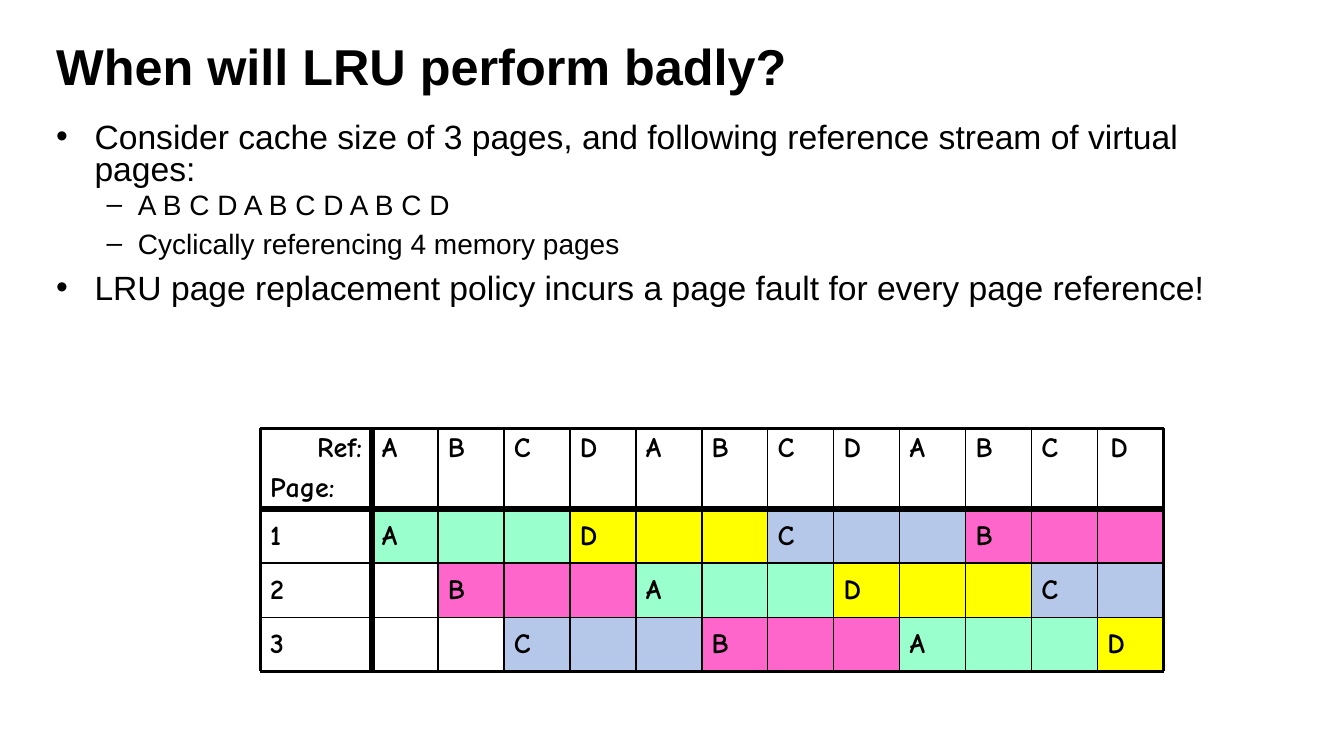
from lxml import etree
from pptx import Presentation
from pptx.dml.color import RGBColor
from pptx.enum.shapes import MSO_CONNECTOR as Connector, MSO_SHAPE as Shape
from pptx.enum.text import MSO_ANCHOR as Anchor, PP_ALIGN as Align
from pptx.oxml.ns import qn
from pptx.util import Inches, Pt

COLORS = {"ink": "000000", "A": "99FFCC", "B": "FF66CC", "C": "B6C8E9", "D": "FFFF00"}
REFERENCES = "ABCD" * 3
FRAMES = 3
THIN, OUTER, THICK = 1, 2.25, 4.5
LEFT, FIRST_COLUMN, RIGHT = 2.58, 3.69, 11.54
TOP, FIRST_ROW, BOTTOM = 4.25, 5.05, 6.66
CELL_WIDTH = (RIGHT - FIRST_COLUMN) / len(REFERENCES)
CELL_HEIGHT = (BOTTOM - FIRST_ROW) / FRAMES


def write(paragraph, text, size=20, font="Comic Neue", bold=True, color="ink",
          align=Align.LEFT, spacing=0.9, before=0, level=0, indent=None, bullet=None):
    """Put formatted text into a paragraph."""
    paragraph.level = level
    if bullet:
        properties = paragraph._p.get_or_add_pPr()
        left, hanging = indent
        properties.set("marL", str(Inches(left)))
        properties.set("indent", str(Inches(hanging)))
        etree.SubElement(properties, qn("a:buFont"), typeface=font)
        etree.SubElement(properties, qn("a:buChar"), char=bullet)
    paragraph.alignment = align
    paragraph.line_spacing = spacing
    paragraph.space_before = Pt(before)
    run = paragraph.add_run()
    run.text = text
    run.font.name = font
    run.font.size = Pt(size)
    run.font.bold = bold
    run.font.color.rgb = RGBColor.from_string(COLORS[color])


class SlideBuilder:
    """Hold the colours and the current slide."""

    def __init__(self, presentation, colors):
        self.colors = colors
        self.slide = presentation.slides.add_slide(presentation.slide_layouts[6])

    def fill_frame(self, frame, entries, anchor):
        """Write one paragraph per entry into a wrapped text frame."""
        frame.word_wrap = True
        frame.vertical_anchor = anchor
        for index, (text, style) in enumerate(entries):
            paragraph = frame.add_paragraph() if index else frame.paragraphs[0]
            write(paragraph, text, **style)

    def text(self, left, top, width, height, entries, anchor=Anchor.TOP):
        """Add a text box."""
        box = self.slide.shapes.add_textbox(*map(Inches, (left, top, width, height)))
        self.fill_frame(box.text_frame, entries, anchor)

    def rectangle(self, left, top, width, height, fill, entries=()):
        """Add a filled rectangle without an outline."""
        shape = self.slide.shapes.add_shape(
            Shape.RECTANGLE, *map(Inches, (left, top, width, height)))
        shape.shadow.inherit = False
        shape.fill.solid()
        shape.fill.fore_color.rgb = RGBColor.from_string(self.colors[fill])
        shape.line.fill.background()
        if entries:
            self.fill_frame(shape.text_frame, entries, Anchor.MIDDLE)

    def line(self, start_x, start_y, end_x, end_y, width):
        """Add a straight line."""
        line = self.slide.shapes.add_connector(
            Connector.STRAIGHT, *map(Inches, (start_x, start_y, end_x, end_y)))
        line.line.color.rgb = RGBColor.from_string(self.colors["ink"])
        line.line.width = Pt(width)
        etree.SubElement(line._element.spPr, qn("a:effectLst"))


def edge_width(index, last):
    """Return the width of a grid line, with a thick one after the headings."""
    if index in (0, last):
        return OUTER
    return THICK if index == 1 else THIN


def add_trace(builder):
    """Draw the page frames under LRU replacement."""
    columns = [FIRST_COLUMN + CELL_WIDTH * time for time in range(len(REFERENCES) + 1)]
    rows = [FIRST_ROW + CELL_HEIGHT * frame for frame in range(FRAMES + 1)]
    for time in reversed(range(len(REFERENCES))):
        for frame in reversed(range(min(FRAMES, time + 1))):
            loaded = time - (time - frame) % FRAMES
            page = REFERENCES[loaded]
            builder.rectangle(columns[time], rows[frame], CELL_WIDTH, CELL_HEIGHT, page,
                              [(page, {})] if loaded == time else [])
    for time, page in enumerate(REFERENCES):
        nudge = 0.03 if time == len(REFERENCES) - 1 else 0
        builder.text(columns[time] + nudge, TOP, CELL_WIDTH, FIRST_ROW - TOP, [(page, {})])
    label_width = FIRST_COLUMN - LEFT
    for frame in range(FRAMES):
        builder.text(LEFT, rows[frame], label_width, CELL_HEIGHT,
                     [(str(frame + 1), {})], Anchor.MIDDLE)
    builder.text(LEFT, TOP, label_width, FIRST_ROW - TOP,
                 [("Ref:", {"align": Align.RIGHT}), ("Page:", {"before": 7})])
    for index, y in enumerate([TOP] + rows):
        builder.line(LEFT, y, RIGHT, y, edge_width(index, len(rows)))
    for index, x in enumerate([LEFT] + columns):
        builder.line(x, TOP, x, BOTTOM, edge_width(index, len(columns)))


def main():
    """Build and save the slide."""
    presentation = Presentation()
    presentation.slide_width, presentation.slide_height = Inches(13.33), Inches(7.5)
    builder = SlideBuilder(presentation, COLORS)
    title = {"size": 36, "font": "Arial", "spacing": 1}
    builder.text(0.46, 0.3, 12.4, 0.7, [("When will LRU perform badly?", title)], Anchor.BOTTOM)
    point = {"size": 24, "font": "Arial", "bold": False, "indent": (0.38, -0.38), "bullet": "•"}
    detail = {**point, "size": 20, "indent": (0.81, -0.31), "bullet": "–",
              "level": 1, "before": 4}
    builder.text(0.46, 1.18, 12.4, 5.62, [
        ("Consider cache size of 3 pages, and following reference stream of virtual pages:",
         {**point, "spacing": 0.8}),
        ("A B C D A B C D A B C D", {**detail, "spacing": 0.8}),
        ("Cyclically referencing 4 memory pages", {**detail, "spacing": 1}),
        ("LRU page replacement policy incurs a page fault for every page reference!",
         {**point, "spacing": 1, "before": 5}),
    ])
    add_trace(builder)
    presentation.save("out.pptx")


if __name__ == "__main__":
    main()
